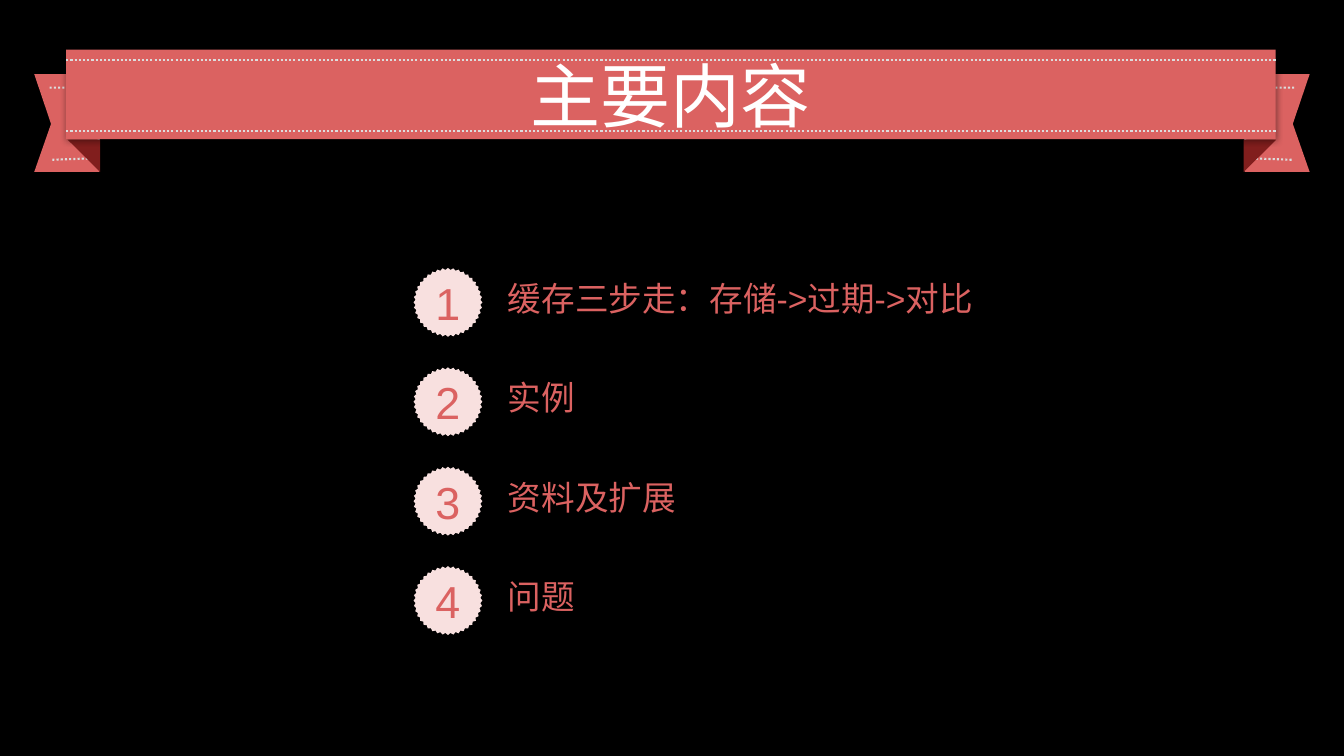
from dataclasses import dataclass
from math import cos, pi, sin

from lxml.etree import SubElement
from pptx import Presentation
from pptx.dml.color import RGBColor as RGB
from pptx.enum.dml import MSO_LINE
from pptx.enum.shapes import MSO_CONNECTOR, MSO_SHAPE
from pptx.enum.text import MSO_ANCHOR, PP_ALIGN
from pptx.oxml.ns import qn
from pptx.util import Pt


@dataclass(frozen=True)
class Theme:
    background: RGB = RGB(0x00, 0x00, 0x00)
    coral: RGB = RGB(0xDB, 0x62, 0x61)
    fold: RGB = RGB(0x81, 0x1E, 0x1D)
    badge: RGB = RGB(0xF8, 0xE0, 0xDF)
    stitch: RGB = RGB(0xDD, 0xDD, 0xDD)
    title_color: RGB = RGB(0xFF, 0xFF, 0xFF)
    font: str = "Arial"
    title_size: int = 50
    number_size: int = 32
    topic_size: int = 24
    stitch_width: float = 1.5


THEME = Theme()
SLIDE_WIDTH, SLIDE_HEIGHT = 960, 540
TOPICS = ["缓存三步走：存储->过期->对比", "实例", "资料及扩展", "问题"]


def add_outline(points, fill=None):
    """Draw a closed filled outline, or an open dotted stitch when fill is None."""
    (x, y), *rest = [(Pt(px), Pt(py)) for px, py in points]
    builder = slide.shapes.build_freeform(x, y)
    builder.add_line_segments(rest, close=fill is not None)
    outline = builder.convert_to_shape()
    outline.shadow.inherit = False
    if fill is None:
        outline.fill.background()
        outline.line.color.rgb = THEME.stitch
        outline.line.width = Pt(THEME.stitch_width)
        outline.line.dash_style = MSO_LINE.ROUND_DOT
    else:
        outline.fill.solid()
        outline.fill.fore_color.rgb = fill
        outline.line.fill.background()
    return outline


def write_text(shape, text, size, color, align):
    frame = shape.text_frame
    frame.word_wrap = True
    frame.vertical_anchor = MSO_ANCHOR.MIDDLE
    paragraph = frame.paragraphs[0]
    paragraph.text = text
    paragraph.alignment = align
    paragraph.font.name = THEME.font
    paragraph.font.size = Pt(size)
    paragraph.font.color.rgb = color
    return paragraph


prs = Presentation()
prs.slide_width, prs.slide_height = Pt(SLIDE_WIDTH), Pt(SLIDE_HEIGHT)
slide = prs.slides.add_slide(prs.slide_layouts[6])
slide.background.fill.solid()
slide.background.fill.fore_color.rgb = THEME.background

# Ribbon ends, the right one mirroring the left
tail = [(24.5, 53), (71, 53), (71, 122.8), (24.5, 122.8), (36.5, 88.5)]
tail_stitch = [(35.5, 62.6), (70.6, 62.6), (70.6, 113), (36.3, 114.2)]
fold = [(48.4, 99.8), (71.6, 99.8), (71.6, 122.8)]
for mirrored in (False, True):
    for points, fill in ((tail, THEME.coral), (tail_stitch, None), (fold, THEME.fold)):
        add_outline([(SLIDE_WIDTH - x if mirrored else x, y) for x, y in points], fill)

# Ribbon with title
ribbon_left, ribbon_top, ribbon_width, ribbon_height = 47.3, 35.5, 864, 64
ribbon = slide.shapes.add_shape(
    MSO_SHAPE.RECTANGLE, Pt(ribbon_left), Pt(ribbon_top), Pt(ribbon_width), Pt(ribbon_height))
ribbon.fill.solid()
ribbon.fill.fore_color.rgb = THEME.coral
ribbon.line.fill.background()
ribbon.shadow.inherit = False
effects = ribbon._element.spPr.find(qn("a:effectLst"))
glow = SubElement(effects, qn("a:outerShdw"), blurRad=str(Pt(5)), dist="0", dir="0",
                  algn="ctr", rotWithShape="0")
shade = SubElement(glow, qn("a:srgbClr"), val=str(THEME.background))
SubElement(shade, qn("a:alpha"), val="40000")
write_text(ribbon, "主要内容", THEME.title_size, THEME.title_color, PP_ALIGN.CENTER)

for stitch_y in (43, 93.5):
    stitch = slide.shapes.add_connector(
        MSO_CONNECTOR.STRAIGHT, Pt(ribbon_left), Pt(stitch_y),
        Pt(ribbon_left + ribbon_width), Pt(stitch_y))
    stitch.line.color.rgb = THEME.stitch
    stitch.line.width = Pt(THEME.stitch_width)
    stitch.line.dash_style = MSO_LINE.ROUND_DOT
    SubElement(stitch._element.spPr, qn("a:effectLst"))

# Numbered topics with serrated badges
badge_x, first_y, row_pitch = 320, 216, 71
teeth, tip_radius, notch_radius = 40, 24.6, 23.2
for row, topic in enumerate(TOPICS):
    badge_y = first_y + row * row_pitch
    label = slide.shapes.add_textbox(Pt(355.7), Pt(badge_y - 27.4), Pt(428.4), Pt(52))
    write_text(label, topic, THEME.topic_size, THEME.coral, PP_ALIGN.LEFT).line_spacing = 0.9

    rim = []
    for step in range(2 * teeth):
        radius = notch_radius if step % 2 else tip_radius
        angle = step * pi / teeth
        rim.append((badge_x + radius * cos(angle), badge_y + radius * sin(angle)))
    badge = add_outline(rim, THEME.badge)
    write_text(badge, str(row + 1), THEME.number_size, THEME.coral, PP_ALIGN.CENTER)

prs.save("out.pptx")
